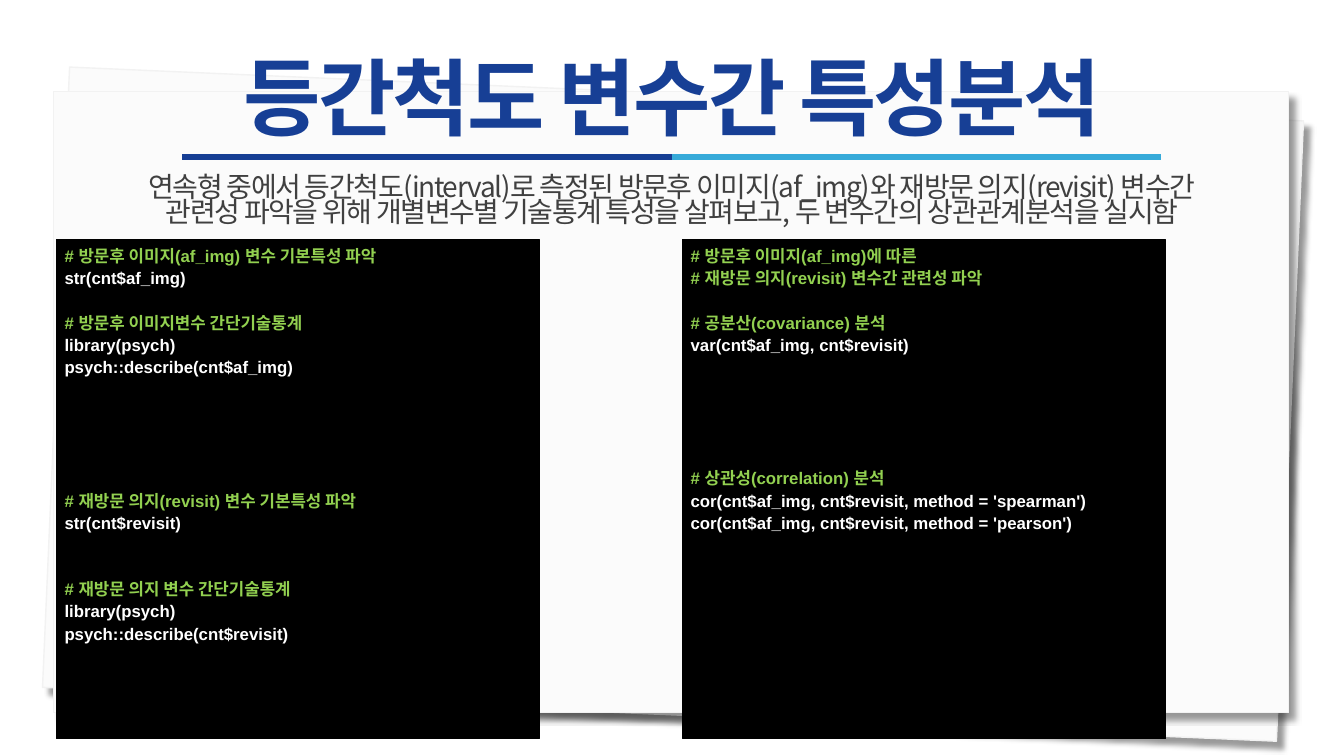
from dataclasses import dataclass

from lxml import etree
from pptx import Presentation
from pptx.dml.color import RGBColor
from pptx.enum.shapes import MSO_CONNECTOR, MSO_SHAPE
from pptx.enum.text import MSO_ANCHOR, MSO_AUTO_SIZE, PP_ALIGN
from pptx.oxml.ns import qn
from pptx.util import Inches, Pt

STRAIGHT = MSO_CONNECTOR.STRAIGHT
RECTANGLE = MSO_SHAPE.RECTANGLE
ROUNDED = MSO_SHAPE.ROUNDED_RECTANGLE
TOP, MIDDLE = MSO_ANCHOR.TOP, MSO_ANCHOR.MIDDLE
NO_AUTOFIT = MSO_AUTO_SIZE.NONE
LEFT, CENTER = PP_ALIGN.LEFT, PP_ALIGN.CENTER


@dataclass(frozen=True)
class Theme:
    korean: str = "Noto Sans CJK KR"
    code: str = "Arial"
    title_blue: str = "173F95"
    rule_dark: str = "163E94"
    rule_light: str = "36AAD9"
    body_grey: str = "404040"
    paper: str = "FBFBFB"
    paper_edge: str = "F2F2F2"
    panel: str = "000000"
    comment: str = "92D050"
    command: str = "FFFFFF"
    title_size: float = 60
    body_size: float = 20
    code_size: float = 12
    code_line: float = 15.9


THEME = Theme()

TITLE = "등간척도 변수간 특성분석"
SUMMARY = (
    "연속형 중에서 등간척도(interval)로 측정된 방문후 이미지(af_img)와 재방문 의지(revisit) 변수간\v"
    "관련성 파악을 위해 개별변수별 기술통계 특성을 살펴보고, 두 변수간의 상관관계분석을 실시함"
)
DESCRIPTIVE_CODE = [
    (0, ["# 방문후 이미지(af_img) 변수 기본특성 파악", "str(cnt$af_img)"]),
    (1, ["# 방문후 이미지변수 간단기술통계", "library(psych)", "psych::describe(cnt$af_img)"]),
    (5, ["# 재방문 의지(revisit) 변수 기본특성 파악", "str(cnt$revisit)"]),
    (2, ["# 재방문 의지 변수 간단기술통계", "library(psych)", "psych::describe(cnt$revisit)"]),
]
RELATION_CODE = [
    (0, ["# 방문후 이미지(af_img)에 따른", "# 재방문 의지(revisit) 변수간 관련성 파악"]),
    (1, ["# 공분산(covariance) 분석", "var(cnt$af_img, cnt$revisit)"]),
    (5, ["# 상관성(correlation) 분석",
         "cor(cnt$af_img, cnt$revisit, method = 'spearman')",
         "cor(cnt$af_img, cnt$revisit, method = 'pearson')"]),
]


def rgb(value):
    return RGBColor.from_string(value)


def style_runs(paragraph, font_name, size, color, bold, tracking=0):
    for run in paragraph.runs:
        run.font.name = font_name
        run.font.size = Pt(size)
        run.font.bold = bold
        run.font.color.rgb = rgb(color)
        properties = run.font._element if hasattr(run.font, "_element") else run._r.get_or_add_rPr()
        if tracking:
            properties.set("spc", str(round(tracking * 100)))
        east_asian = etree.Element(qn("a:ea"), typeface=THEME.korean)
        properties.find(qn("a:latin")).addnext(east_asian)


def add_box(slide, kind, box, fill, edge, edge_width):
    shape = slide.shapes.add_shape(kind, *map(Inches, box))
    shape.shadow.inherit = False
    shape.fill.solid()
    shape.fill.fore_color.rgb = rgb(fill)
    shape.line.color.rgb = rgb(edge)
    shape.line.width = Pt(edge_width)
    return shape


def add_paper_stack(slide, box):
    left, top, width, height = box
    for offset, angle in ((0.02, 2.5), (0, 0)):
        sheet = add_box(slide, RECTANGLE, (left + offset, top + offset, width, height),
                        THEME.paper, THEME.paper_edge, 1)
        sheet.rotation = angle
        effects = sheet.element.spPr.find(qn("a:effectLst"))
        shadow = etree.SubElement(
            effects, qn("a:outerShdw"), blurRad=str(Pt(4)), dist=str(Pt(7)),
            dir=str(45 * 60000), algn="tl", rotWithShape="0")
        shade = etree.SubElement(shadow, qn("a:srgbClr"), val="000000")
        etree.SubElement(shade, qn("a:alpha"), val="40000")


def add_title_rule(slide, left, top, width):
    half = width / 2
    for index, color in enumerate((THEME.rule_dark, THEME.rule_light)):
        start = left + index * half
        rule = slide.shapes.add_connector(
            STRAIGHT, Inches(start), Inches(top), Inches(start + half), Inches(top))
        rule.line.color.rgb = rgb(color)
        rule.line.width = Pt(4.5)
        etree.SubElement(rule.element.spPr, qn("a:effectLst"))


def fill_placeholder(slide, placeholder, box, text, anchor, line_spacing,
                     size, color, bold, tracking):
    slide.shapes.element.append(placeholder.element)
    placeholder.left, placeholder.top, placeholder.width, placeholder.height = map(Inches, box)
    frame = placeholder.text_frame
    frame.text = text
    frame.word_wrap = True
    frame.auto_size = NO_AUTOFIT
    frame.vertical_anchor = anchor
    paragraph = frame.paragraphs[0]
    properties = paragraph._p.get_or_add_pPr()
    properties.set("marL", "0")
    properties.set("indent", "0")
    etree.SubElement(properties, qn("a:buNone"))
    paragraph.alignment = CENTER
    paragraph.line_spacing = line_spacing
    paragraph.space_before = Pt(0)
    style_runs(paragraph, THEME.korean, size, color, bold, tracking)


def add_code_panel(slide, box, blocks):
    panel = add_box(slide, ROUNDED, box, THEME.panel, THEME.panel, 0.75)
    panel.adjustments[0] = 0
    frame = panel.text_frame
    frame.word_wrap = True
    frame.vertical_anchor = TOP
    frame.margin_left = frame.margin_right = Inches(0.08)
    frame.margin_top = frame.margin_bottom = Inches(0.04)
    frame.text = "\n".join(line for _, lines in blocks for line in lines)
    gaps = [gap if index == 0 else 0
            for gap, lines in blocks for index in range(len(lines))]
    for paragraph, gap in zip(frame.paragraphs, gaps):
        paragraph.alignment = LEFT
        paragraph.line_spacing = 1.1
        paragraph.space_before = Pt(gap * THEME.code_line)
        color = THEME.comment if paragraph.text.startswith("#") else THEME.command
        style_runs(paragraph, THEME.code, THEME.code_size, color, True)


def build_analysis_slide(presentation):
    slide = presentation.slides.add_slide(presentation.slide_layouts[1])
    title, summary = slide.shapes.title, slide.placeholders[1]
    add_paper_stack(slide, (0.53, 0.91, 12.25, 6.16))
    add_title_rule(slide, 1.81, 1.56, 9.71)
    fill_placeholder(slide, title, (0, 0.56, 13.33, 0.9), TITLE, MIDDLE, 0.9,
                     THEME.title_size, THEME.title_blue, True, -1.9)
    fill_placeholder(slide, summary, (0, 1.71, 13.33, 0.37), SUMMARY, TOP, 0.74,
                     THEME.body_size, THEME.body_grey, False, -1)
    for left, blocks in ((0.56, DESCRIPTIVE_CODE), (6.77, RELATION_CODE)):
        add_code_panel(slide, (left, 2.38, 4.79, 4.95), blocks)


def main():
    presentation = Presentation()
    presentation.slide_width = Inches(13.33)
    presentation.slide_height = Inches(7.5)
    build_analysis_slide(presentation)
    presentation.save("out.pptx")


if __name__ == "__main__":
    main()
